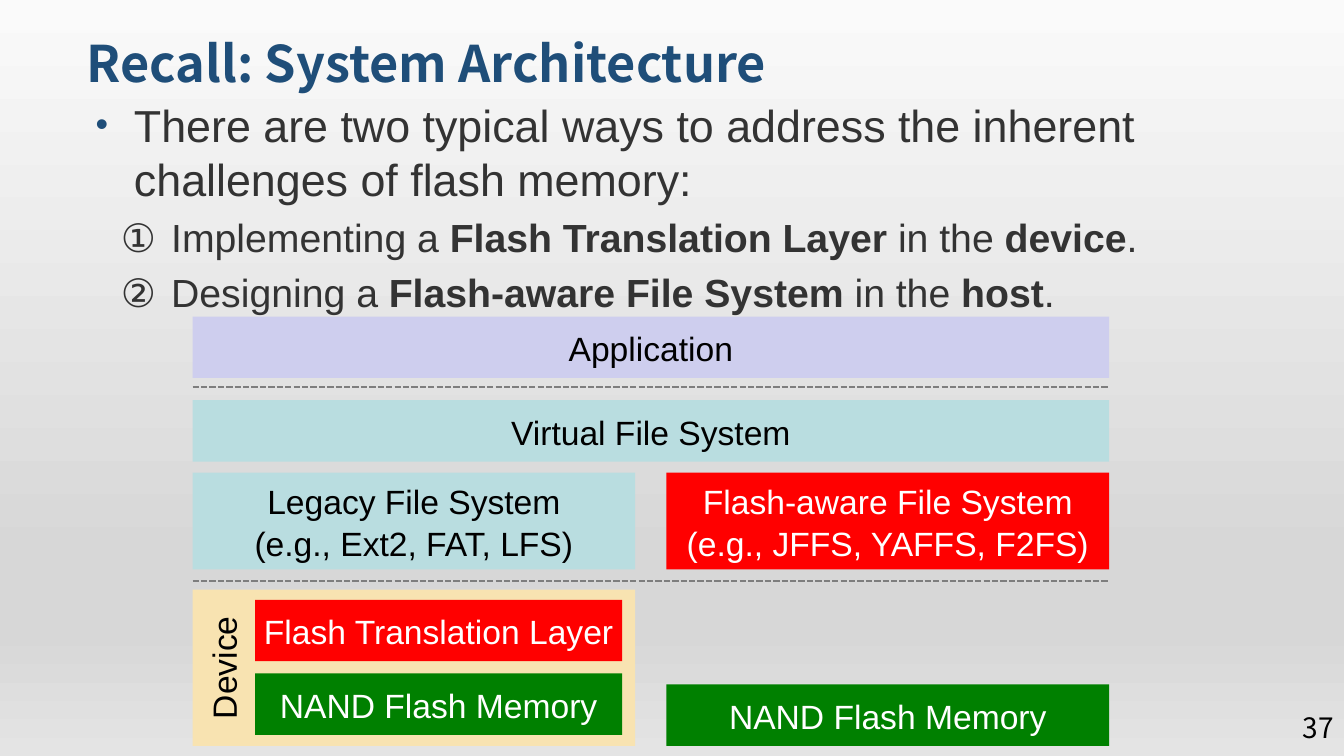
from lxml import etree
from pptx import Presentation
from pptx.dml.color import RGBColor
from pptx.enum.dml import MSO_LINE
from pptx.enum.shapes import MSO_CONNECTOR, MSO_SHAPE
from pptx.enum.text import MSO_ANCHOR, PP_ALIGN
from pptx.oxml.ns import qn
from pptx.util import Inches, Pt

RECT = MSO_SHAPE.RECTANGLE
LINE = MSO_CONNECTOR.STRAIGHT
DASH = MSO_LINE.SQUARE_DOT
TOP, MIDDLE, BOTTOM = MSO_ANCHOR.TOP, MSO_ANCHOR.MIDDLE, MSO_ANCHOR.BOTTOM
LEFT, CENTER, RIGHT = PP_ALIGN.LEFT, PP_ALIGN.CENTER, PP_ALIGN.RIGHT

COLORS = {
    "navy": "1F4E79", "text": "333333", "black": "000000", "white": "FFFFFF",
    "lilac": "CECEEE", "teal": "B9DDE0", "red": "FF0000", "green": "008000",
    "sand": "F8E3B1", "rule": "7E7E7E",
}
SHADES = [(0, "FAFAFA"), (74, "D7D7D7"), (83, "D7D7D7"), (100, "E4E4E4")]
SANS, HEAD = "Arial", "Noto Sans CJK TC"


def assign(target, values):
    for name, value in values.items():
        setattr(target, name, value)


def add(parent, tag, **attrs):
    node = etree.SubElement(parent, qn(tag))
    for name, value in attrs.items():
        node.set(name, str(value))
    return node


def color(name):
    return RGBColor.from_string(COLORS[name])


def indent(props, margin, first):
    props.set("marL", str(Inches(margin)))
    props.set("indent", str(Inches(first)))


class Deck:
    def __init__(self):
        self.prs = Presentation()
        assign(self.prs, {"slide_width": Inches(13.33), "slide_height": Inches(7.5)})
        self.slide = self.prs.slides.add_slide(self.prs.slide_layouts[6])
        self.shapes = self.slide.shapes

    def shade(self):
        """Fill the background with a vertical grey gradient."""
        fill = self.slide.background.fill
        fill.gradient()
        fill.gradient_angle = 270
        stops = next(self.slide.element.iter(qn("a:gsLst")))
        for stop in list(stops):
            stops.remove(stop)
        for pos, tone in SHADES:
            add(add(stops, "a:gs", pos=pos * 1000), "a:srgbClr", val=tone)

    def runs(self, para, text, size, ink, face=SANS, bold=False):
        """Add runs to a paragraph; text between asterisks is bold."""
        for i, part in enumerate(text.split("*")):
            for j, line in enumerate(part.split("\n")):
                if j:
                    para.add_line_break()
                run = para.add_run()
                run.text = line
                assign(run.font, {"name": face, "size": Pt(size),
                                  "bold": bold or i % 2 == 1})
                run.font.color.rgb = color(ink)

    def text(self, at, anchor=TOP):
        frame = self.shapes.add_textbox(*map(Inches, at)).text_frame
        assign(frame, {"word_wrap": True, "vertical_anchor": anchor})
        return frame

    def flush(self, frame):
        """Remove the inner margins of a text frame."""
        for side in ("left", "top", "right", "bottom"):
            setattr(frame, f"margin_{side}", 0)

    def label(self, at, text, size, ink, face, anchor, align, bold=False):
        para = self.text(at, anchor).paragraphs[0]
        assign(para, {"alignment": align, "line_spacing": 0.9})
        self.runs(para, text, size, ink, face, bold)

    def box(self, at, tone, text="", ink="black"):
        shape = self.shapes.add_shape(RECT, *map(Inches, at))
        shape.shadow.inherit = False
        shape.fill.solid()
        shape.fill.fore_color.rgb = color(tone)
        shape.line.fill.background()
        if text:
            frame = shape.text_frame
            self.flush(frame)
            assign(frame, {"word_wrap": True, "vertical_anchor": MIDDLE})
            para = frame.paragraphs[0]
            assign(para, {"alignment": CENTER, "line_spacing": 1.05})
            self.runs(para, text, 24, ink)

    def upright(self, at, text):
        """Add a label that reads from bottom to top."""
        frame = self.text(at, MIDDLE)
        self.flush(frame)
        next(frame._element.iter(qn("a:bodyPr"))).set("vert", "vert270")
        para = frame.paragraphs[0]
        para.alignment = CENTER
        self.runs(para, text, 24, "black")

    def rule(self, left, top, width):
        ends = map(Inches, (left, top, left + width, top))
        line = self.shapes.add_connector(LINE, *ends)
        assign(line.line, {"width": Pt(1.5), "dash_style": DASH})
        line.line.color.rgb = color("rule")
        add(line._element.spPr, "a:effectLst")

    def body(self, at, lead, items):
        """Add a bulleted lead and its numbered items."""
        frame = self.text(at)
        para = frame.paragraphs[0]
        props = para._p.get_or_add_pPr()
        indent(props, 0.39, -0.38)
        add(add(props, "a:buClr"), "a:srgbClr", val=COLORS["navy"])
        add(props, "a:buSzPct", val=80000)
        add(props, "a:buFont", typeface=SANS)
        add(props, "a:buChar", char="•")
        self.runs(para, lead, 32, "text")
        for item in items:
            para = frame.add_paragraph()
            props = para._p.get_or_add_pPr()
            indent(props, 0.26, 0)
            add(props, "a:buNone")
            add(add(props, "a:tabLst"), "a:tab", pos=Inches(1.01), algn="l")
            para.space_before = Pt(5.9)
            self.runs(para, item, 28, "text")


def main():
    deck = Deck()
    deck.shade()
    deck.label((12.08, 7.14, 1.25, 0.2), "37", 20, "black", HEAD, MIDDLE, RIGHT)
    deck.label((0.76, 0.21, 11.81, 0.77), "Recall: System Architecture",
               36, "navy", HEAD, BOTTOM, LEFT, bold=True)
    deck.body(
        (0.84, 0.92, 12.13, 6.26),
        "There are two typical ways to address the inherent "
        "challenges of flash memory:",
        ["①\tImplementing a *Flash Translation Layer* in the *device*.",
         "②\tDesigning a *Flash-aware File System* in the *host*."])

    left, full, half, row = 1.91, 9.09, 4.39, 0.61
    right = left + full - half
    inner, slot = 2.53, 3.64
    nand = "NAND Flash Memory"

    deck.box((left, 3.14, full, row), "lilac", "Application")
    deck.box((left, 3.97, full, row), "teal", "Virtual File System")
    deck.box((left, 4.69, half, 0.96), "teal",
             "Legacy File System\n(e.g., Ext2, FAT, LFS)")
    deck.box((right, 4.69, half, 0.96), "red",
             "Flash-aware File System\n(e.g., JFFS, YAFFS, F2FS)", "white")
    for top in (3.84, 5.76):
        deck.rule(left, top, full)

    deck.box((left, 5.85, half, 1.55), "sand")
    deck.upright((2.02, 6.1, 0.39, 1.05), "Device")
    deck.box((inner, 5.95, slot, row), "red", "Flash Translation Layer", "white")
    deck.box((inner, 6.68, slot, row), "green", nand, "white")
    deck.box((right, 6.79, half, row), "green", nand, "white")
    deck.prs.save("out.pptx")


if __name__ == "__main__":
    main()
